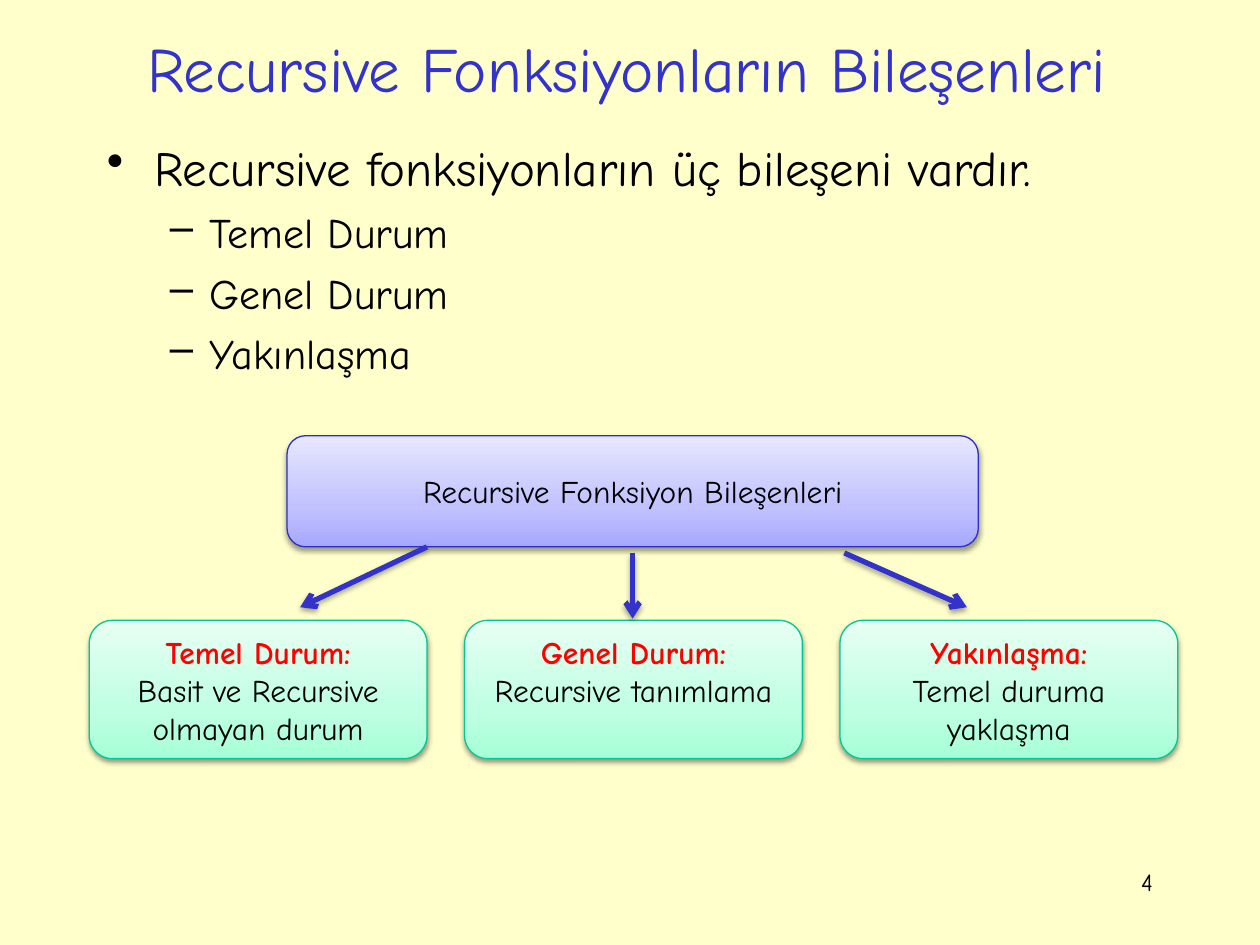
from lxml.etree import SubElement
from pptx import Presentation
from pptx.dml.color import RGBColor
from pptx.enum.shapes import MSO_CONNECTOR, MSO_SHAPE
from pptx.enum.text import MSO_ANCHOR, PP_ALIGN
from pptx.oxml.ns import qn
from pptx.util import Pt

FONT = "Comic Neue"
CREAM = RGBColor(0xFF, 0xFF, 0xCC)
BLUE = RGBColor(0x33, 0x33, 0xCC)
BLACK = RGBColor(0, 0, 0)
RED = RGBColor(0xFF, 0, 0)
BLUE_EDGE = RGBColor(0x2E, 0x2E, 0xCB)
GREEN_EDGE = RGBColor(0, 0xC8, 0x96)
BLUE_STOPS = [RGBColor(0xA7, 0xA7, 0xFF), RGBColor(0xC1, 0xC1, 0xFF), RGBColor(0xE7, 0xE7, 0xFF)]
GREEN_STOPS = [RGBColor(0xA5, 0xFF, 0xD6), RGBColor(0xBF, 0xFF, 0xE2), RGBColor(0xE7, 0xFF, 0xF3)]
STOP_POSITIONS = [0, 35000, 100000]


def write(frame, text, size=18, color=BLACK, bold=False, align=PP_ALIGN.CENTER, first=True):
    """Write one formatted paragraph and return it."""
    para = frame.paragraphs[0] if first else frame.add_paragraph()
    para.alignment = align
    span = para.add_run()
    span.text = text
    span.font.name = FONT
    span.font.size = Pt(size)
    span.font.bold = bold
    span.font.color.rgb = color
    return para


def add_color(parent, color):
    """Add a solid colour element and return it."""
    return SubElement(parent, qn("a:srgbClr"), val=str(color))


def add_shadow(shape, opacity, distance):
    """Give a shape a soft shadow straight below it."""
    effects = SubElement(shape._element.spPr, qn("a:effectLst"))
    shadow = SubElement(effects, qn("a:outerShdw"), blurRad=str(Pt(3.1)),
                        dist=str(Pt(distance)), dir="5400000", rotWithShape="0")
    SubElement(add_color(shadow, BLACK), qn("a:alpha"), val=str(opacity * 1000))


def add_bullet(para, character, left, hanging):
    """Give a paragraph a hanging bullet."""
    properties = para._p.get_or_add_pPr()
    properties.set("marL", str(Pt(left)))
    properties.set("indent", str(-Pt(hanging)))
    SubElement(properties, qn("a:buChar"), char=character)


def add_title(page, text, left, top, width, height):
    """Place and fill the title placeholder."""
    title = page.shapes.title
    title.left, title.top, title.width, title.height = map(Pt, (left, top, width, height))
    title.text_frame.vertical_anchor = MSO_ANCHOR.MIDDLE
    write(title.text_frame, text, size=36, color=BLUE)


def add_text_box(page, left, top, width, height):
    """Add a wrapping text box and return its frame."""
    frame = page.shapes.add_textbox(*map(Pt, (left, top, width, height))).text_frame
    frame.word_wrap = True
    return frame


def add_outline(page, heading, items, left, top, width, height):
    """Add a bulleted heading with dashed items below it."""
    frame = add_text_box(page, left, top, width, height)
    for index, text in enumerate([heading] + items):
        size = 24 if index else 28
        para = write(frame, text, size=size, align=PP_ALIGN.LEFT, first=index == 0)
        para.space_before = Pt(round(size * 0.24, 1))
        if index:
            para.level = 1
            add_bullet(para, "–", 58.5, 22.5)
        else:
            add_bullet(para, "•", 27, 27)


def add_card(page, left, top, width, height, stops, edge, anchor):
    """Add a rounded gradient box and return its text frame."""
    card = page.shapes.add_shape(MSO_SHAPE.ROUNDED_RECTANGLE, *map(Pt, (left, top, width, height)))
    card.fill.gradient()
    card.fill.gradient_angle = 90
    stop_list = card._element.spPr.find(qn("a:gradFill")).find(qn("a:gsLst"))
    for stop in list(stop_list):
        stop_list.remove(stop)
    for position, color in zip(STOP_POSITIONS, stops):
        add_color(SubElement(stop_list, qn("a:gs"), pos=str(position)), color)
    card.line.color.rgb = edge
    card.line.width = Pt(0.75)
    add_shadow(card, opacity=38, distance=1.6)
    frame = card.text_frame
    frame.word_wrap = True
    frame.vertical_anchor = anchor
    return frame


def add_arrow(page, start_x, start_y, end_x, end_y):
    """Add a thick arrow between two points."""
    arrow = page.shapes.add_connector(MSO_CONNECTOR.STRAIGHT, *map(Pt, (start_x, start_y, end_x, end_y)))
    arrow.line.color.rgb = BLUE
    arrow.line.width = Pt(3)
    SubElement(arrow.line._get_or_add_ln(), qn("a:tailEnd"), type="arrow")
    add_shadow(arrow, opacity=35, distance=1.8)


def add_diagram(page, root, branches, left, top, width):
    """Add a root box with arrows to a row of equally spaced boxes."""
    card_width, card_height, row_top = 193, 79, top + 105.5
    step = (width - card_width) / (len(branches) - 1)
    frame = add_card(page, left + 113, top, 395, 63.5, BLUE_STOPS, BLUE_EDGE, MSO_ANCHOR.MIDDLE)
    write(frame, root)
    for index, (name, detail) in enumerate(branches):
        frame = add_card(page, left + index * step, row_top, card_width, card_height,
                         GREEN_STOPS, GREEN_EDGE, MSO_ANCHOR.TOP)
        write(frame, name, color=RED, bold=True)
        write(frame, detail, first=False)
    for start_x, start_y, end_x, end_y in [(193, 63.5, 120.5, 98), (310.5, 67, 310.5, 104.5),
                                           (431.5, 67, 501.5, 98)]:
        add_arrow(page, left + start_x, top + start_y, left + end_x, top + end_y)


def build():
    """Build the deck and save it."""
    deck = Presentation()
    deck.slide_width, deck.slide_height = Pt(720), Pt(540)
    page = deck.slides.add_slide(deck.slide_layouts[5])
    page.background.fill.solid()
    page.background.fill.fore_color.rgb = CREAM
    add_title(page, "Recursive Fonksiyonların Bileşenleri", 52, 11, 612, 54.5)
    add_outline(page, "Recursive fonksiyonların üç bileşeni vardır.",
                ["Temel Durum", "Genel Durum", "Yakınlaşma"], 54, 75, 612, 165)
    write(add_text_box(page, 516, 492, 150, 36), "4", size=14, align=PP_ALIGN.RIGHT)
    add_diagram(page, "Recursive Fonksiyon Bileşenleri",
                [("Temel Durum:", "Basit ve Recursive olmayan durum"),
                 ("Genel Durum:", "Recursive tanımlama"),
                 ("Yakınlaşma:", "Temel duruma yaklaşma")], 51, 249, 622)
    deck.save("out.pptx")


build()
